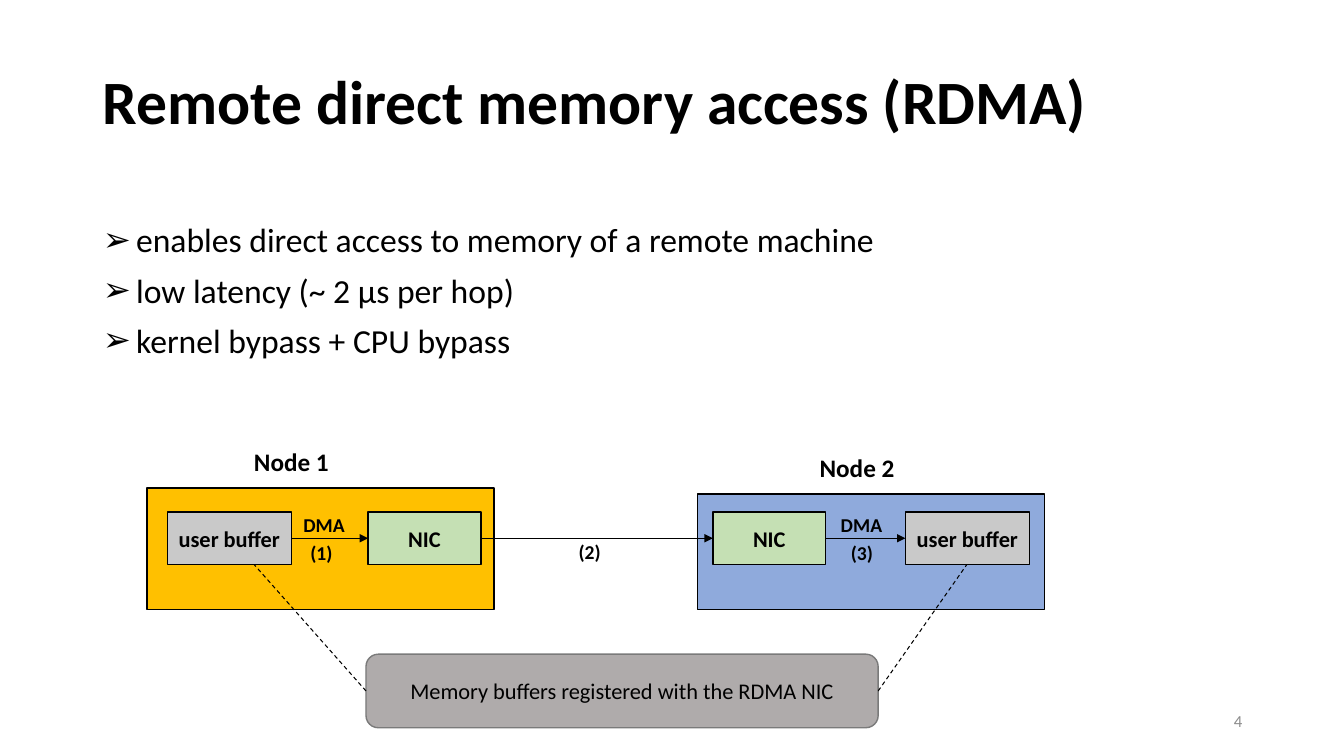
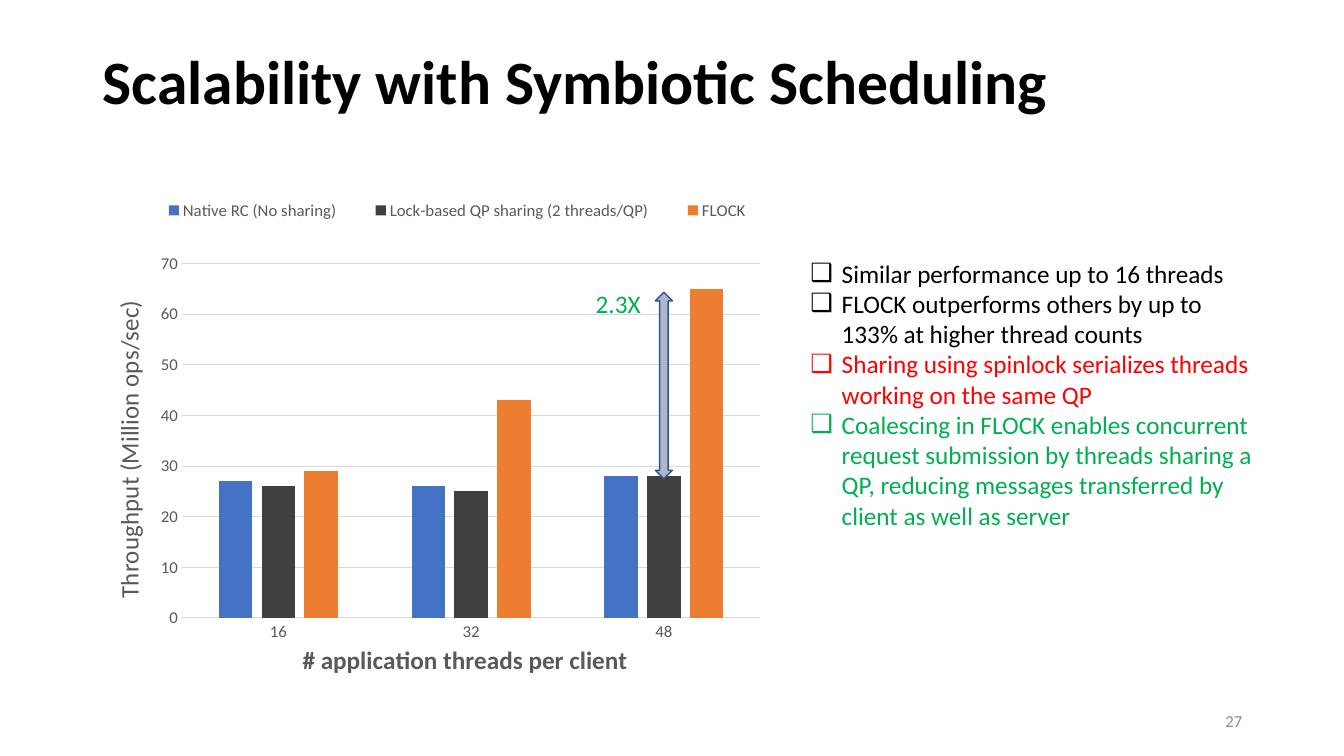
from dataclasses import dataclass

from lxml.etree import SubElement
from pptx import Presentation
from pptx.chart.data import CategoryChartData
from pptx.dml.color import RGBColor
from pptx.enum.chart import XL_CHART_TYPE as ChartType, XL_LEGEND_POSITION as LegendPosition
from pptx.enum.chart import XL_TICK_MARK as TickMark
from pptx.enum.dml import MSO_LINE_DASH_STYLE as Dash
from pptx.enum.shapes import MSO_CONNECTOR_TYPE as Connector, MSO_SHAPE as Shape
from pptx.enum.text import MSO_ANCHOR as Anchor, MSO_AUTO_SIZE as AutoSize, PP_ALIGN as Align
from pptx.oxml.ns import qn
from pptx.util import Emu, Pt

EMU_PER_PX = 9144
TOP, LEFT, BOTTOM, RIGHT = range(4)


@dataclass(frozen=True)
class Theme:
    font: str = "Calibri"
    ink: str = "000000"
    muted: str = "8C8C8C"
    axis: str = "595959"
    grid: str = "D9D9D9"
    red: str = "FF0000"
    green: str = "00B050"
    node_one: str = "FFC000"
    node_two: str = "8FAADC"
    buffer: str = "C9C9C9"
    nic: str = "C5E0B4"
    note: str = "AFABAB"
    note_line: str = "7A7A7A"
    gap_arrow: str = "ADB9CA"
    gap_arrow_line: str = "325491"
    series: tuple = ("4472C4", "404040", "ED7D31")
    title: int = 44
    body: int = 24
    heading: int = 18
    block: int = 16
    step: int = 14
    small: int = 12


THEME = Theme()


def px(*lengths):
    return [Emu(length * EMU_PER_PX) for length in lengths]


def rgb(color):
    return RGBColor.from_string(color)


def style_font(font, size, color=THEME.ink, bold=False):
    font.name, font.size, font.bold = THEME.font, Pt(size), bold
    font.color.rgb = rgb(color)


def write(frame, text, size, color=THEME.ink, bold=False, align=Align.LEFT, anchor=Anchor.TOP):
    frame.word_wrap = True
    frame.auto_size = AutoSize.NONE
    frame.vertical_anchor = anchor
    frame.text = text
    for paragraph in frame.paragraphs:
        paragraph.alignment = align
        for run in paragraph.runs:
            style_font(run.font, size, color, bold)


def add_label(slide, box, text, size, **style):
    label = slide.shapes.add_textbox(*px(*box))
    write(label.text_frame, text, size, **style)


def add_block(slide, kind, box, fill, line=THEME.ink, text="", bold=True):
    block = slide.shapes.add_shape(kind, *px(*box))
    block.shadow.inherit = False
    block.fill.solid()
    block.fill.fore_color.rgb = rgb(fill)
    block.line.color.rgb = rgb(line)
    block.line.width = Pt(1)
    if text:
        write(block.text_frame, text, THEME.block, bold=bold, align=Align.CENTER, anchor=Anchor.MIDDLE)
    return block


def add_link(slide, start, start_side, width, end=None, end_side=LEFT, point=(0, 0)):
    link = slide.shapes.add_connector(Connector.STRAIGHT, 0, 0, *px(*point))
    link.begin_connect(start, start_side)
    link.line.color.rgb = rgb(THEME.ink)
    link.line.width = Pt(width)
    if end is None:
        link.line.dash_style = Dash.DASH
    else:
        link.end_connect(end, end_side)
        SubElement(link.line._get_or_add_ln(), qn("a:tailEnd"), type="triangle")
    SubElement(link._element.spPr, qn("a:effectLst"))


def add_bullets(paragraph, mark, indent):
    properties = paragraph._p.get_or_add_pPr()
    hang = px(indent)[0]
    properties.set("marL", str(hang))
    properties.set("indent", str(-hang))
    SubElement(properties, qn("a:buFont"), typeface=THEME.font)
    SubElement(properties, qn("a:buChar"), char=mark)


def place(placeholder, box):
    placeholder.left, placeholder.top, placeholder.width, placeholder.height = px(*box)


def start_slide(deck, layout, title, title_height, number):
    slide = deck.slides.add_slide(deck.slide_layouts[layout])
    place(slide.shapes.title, (92, 40, 1150, title_height))
    write(slide.shapes.title.text_frame, title, THEME.title, bold=True, anchor=Anchor.MIDDLE)
    slide.shapes.title.text_frame.paragraphs[0].line_spacing = 0.9
    add_label(slide, (942, 695, 300, 40), number, THEME.small, color=THEME.muted,
              align=Align.RIGHT, anchor=Anchor.MIDDLE)
    return slide


def add_points(slide, box, points):
    body = slide.placeholders[1]
    place(body, box)
    write(body.text_frame, "\n".join(points), THEME.body)
    for paragraph in body.text_frame.paragraphs:
        paragraph.line_spacing = 0.9
        paragraph.space_before = Pt(10)
        add_bullets(paragraph, "➢", 33)


def add_node(slide, box, fill, name, name_x, buffer_x, nic_x):
    x, y, width, height = box
    inner_y = y + height - 97
    add_block(slide, Shape.RECTANGLE, box, fill)
    buffer = add_block(slide, Shape.RECTANGLE, (x + buffer_x, inner_y, 123, 52),
                       THEME.buffer, text="user buffer")
    nic = add_block(slide, Shape.RECTANGLE, (x + nic_x, inner_y, 112, 52), THEME.nic, text="NIC")
    add_label(slide, (x + name_x, y - 46, 112, 40), name, THEME.heading,
              bold=True, align=Align.CENTER)
    return buffer, nic


def add_transfer(slide, box):
    x, y, width, height = box
    bottom = y + height
    buffer_one, nic_one = add_node(slide, (x, y, 344, height), THEME.node_one,
                                   "Node 1", 87, 20, 219)
    buffer_two, nic_two = add_node(slide, (x + width - 344, y + 6, 344, height - 6),
                                   THEME.node_two, "Node 2", 102, 206, 15)
    for start, end in ((buffer_one, nic_one), (nic_one, nic_two), (nic_two, buffer_two)):
        add_link(slide, start, RIGHT, 0.5, end)
    for text, label_x, rise in (("DMA", 145, 101), ("DMA", 678, 101),
                                ("(1)", 152, 73), ("(2)", 418, 74), ("(3)", 688, 73)):
        add_label(slide, (x + label_x, bottom - rise, 80, 34), text, THEME.step, bold=True)
    note = add_block(slide, Shape.ROUNDED_RECTANGLE, (x + 217, bottom + 44, 508, 73), THEME.note,
                     THEME.note_line, "Memory buffers registered with the RDMA NIC", bold=False)
    for side, buffer_x in ((LEFT, 106), (RIGHT, 813)):
        add_link(slide, note, side, 0.75, point=(x + buffer_x, bottom - 45))


def set_layout(element, index, **values):
    for old in element.findall(qn("c:layout")):
        element.remove(old)
    layout = element.makeelement(qn("c:layout"))
    element.insert(index, layout)
    manual = SubElement(layout, qn("c:manualLayout"))
    if element.tag == qn("c:plotArea"):
        SubElement(manual, qn("c:layoutTarget"), val="inner")
    for mode in ("xMode", "yMode"):
        SubElement(manual, qn(f"c:{mode}"), val="edge")
    for key, value in values.items():
        SubElement(manual, qn(f"c:{key}"), val=str(value))


def style_axis(axis, title, bold, x, y):
    axis.major_tick_mark = axis.minor_tick_mark = TickMark.NONE
    style_font(axis.tick_labels.font, THEME.small, THEME.axis)
    frame = axis.axis_title.text_frame
    frame.text = title
    style_font(frame.paragraphs[0].runs[0].font, THEME.heading, THEME.axis, bold)
    set_layout(axis.axis_title._element, 1, x=x, y=y)
    return frame


def add_throughput(slide, box):
    data = CategoryChartData()
    data.categories = ["16", "32", "48"]
    data.add_series("Native RC (No sharing)", (27, 26, 28))
    data.add_series("Lock-based QP sharing (2 threads/QP)", (26, 25, 28))
    data.add_series("FLOCK", (29, 43, 65))
    chart = slide.shapes.add_chart(ChartType.COLUMN_CLUSTERED, *px(*box), data).chart
    style_font(chart.font, THEME.small)
    chart.has_title = False

    plot = chart.plots[0]
    plot.vary_by_categories = False
    plot.gap_width, plot.overlap = 219, -27
    for series, color in zip(plot.series, THEME.series):
        series.format.fill.solid()
        series.format.fill.fore_color.rgb = rgb(color)
    set_layout(chart._chartSpace.chart.plotArea, 0, x=0.126, y=0.145, w=0.817, h=0.733)

    chart.has_legend = True
    chart.legend.position = LegendPosition.TOP
    chart.legend.include_in_layout = False
    style_font(chart.legend.font, THEME.small, THEME.axis)
    set_layout(chart.legend._element, 1, x=0.06, y=0, w=0.91, h=0.07)

    threads, rate = chart.category_axis, chart.value_axis
    style_axis(threads, "# application threads per client", True, 0.29, 0.92)
    rate_title = style_axis(rate, "Throughput (Million ops/sec)", False, 0.02, 0.22)
    rate_title._txBody.bodyPr.set("rot", "-5400000")
    rate_title._txBody.bodyPr.set("vert", "horz")
    rate.minimum_scale, rate.maximum_scale, rate.major_unit = 0, 70, 10
    rate.format.line.fill.background()
    for line in (threads.format.line, rate.major_gridlines.format.line):
        line.color.rgb = rgb(THEME.grid)
        line.width = Pt(0.75)

    x, y = box[:2]
    add_block(slide, Shape.UP_DOWN_ARROW, (x + 558, y + 98, 17, 185),
              THEME.gap_arrow, THEME.gap_arrow_line)
    add_label(slide, (x + 489, y + 89, 69, 40), "2.3X", THEME.heading, color=THEME.green)


def add_findings(slide, box, findings):
    panel = slide.shapes.add_textbox(*px(*box))
    write(panel.text_frame, "\n".join(text for text, color in findings), THEME.heading)
    for paragraph, (text, color) in zip(panel.text_frame.paragraphs, findings):
        paragraph.runs[0].font.color.rgb = rgb(color)
        add_bullets(paragraph, "❑", 31)


def build_rdma(deck):
    slide = start_slide(deck, 1, "Remote direct memory access (RDMA)", 127, "4")
    add_points(slide, (92, 217, 1150, 200), [
        "enables direct access to memory of a remote machine",
        "low latency (~ 2 µs per hop)",
        "kernel bypass + CPU bypass",
    ])
    add_transfer(slide, (146, 484, 890, 121))


def build_scalability(deck):
    slide = start_slide(deck, 5, "Scalability with Symbiotic Scheduling", 87, "27")
    add_throughput(slide, (92, 192, 702, 486))
    add_findings(slide, (794, 251, 458, 343), [
        ("Similar performance up to 16 threads", THEME.ink),
        ("FLOCK outperforms others by up to 133% at higher thread counts", THEME.ink),
        ("Sharing using spinlock serializes threads working on the same QP", THEME.red),
        ("Coalescing in FLOCK enables concurrent request submission by threads sharing a QP, "
         "reducing messages transferred by client as well as server", THEME.green),
    ])


def main():
    deck = Presentation()
    deck.slide_width, deck.slide_height = px(1333, 750)
    build_rdma(deck)
    build_scalability(deck)
    deck.save("out.pptx")


if __name__ == "__main__":
    main()
